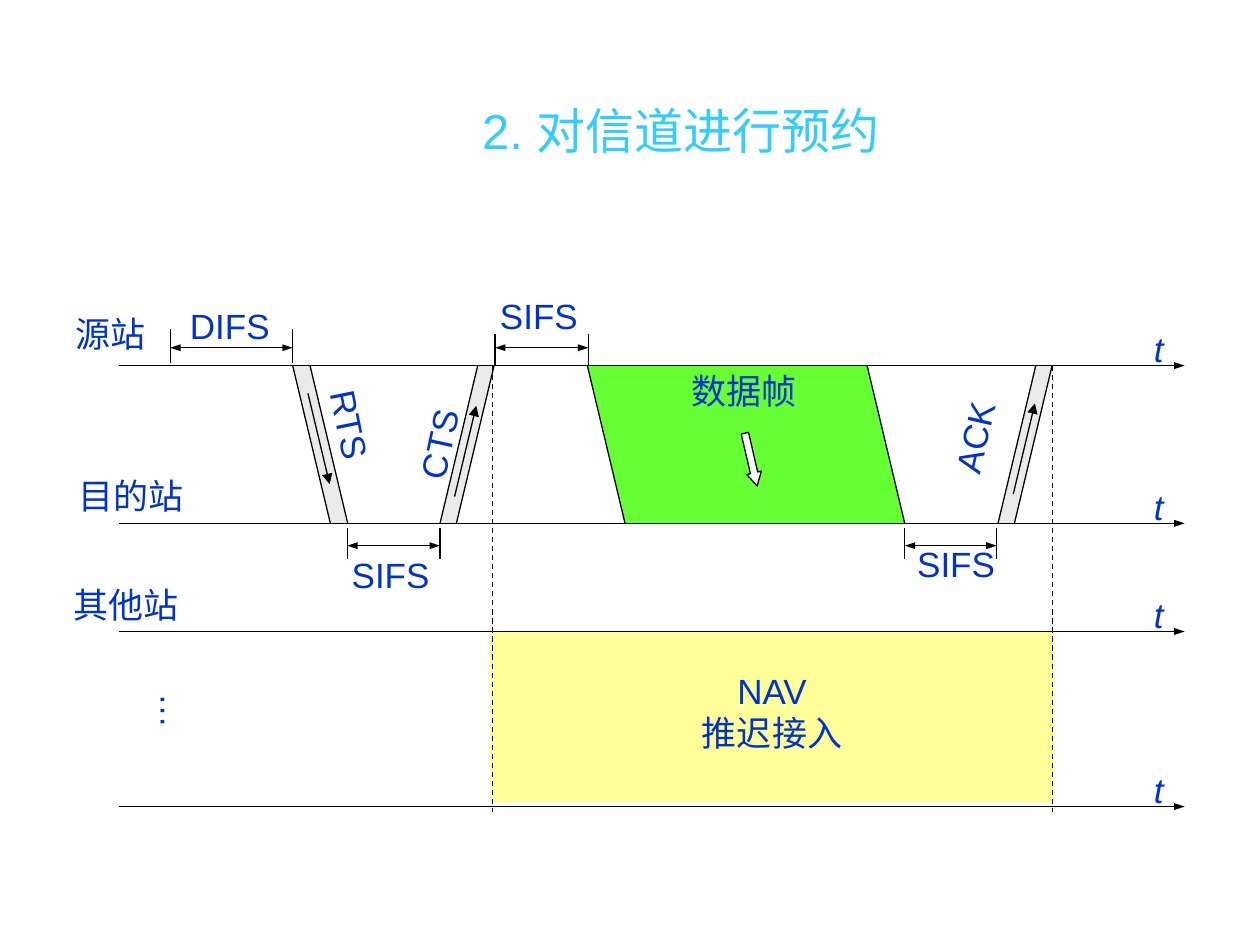
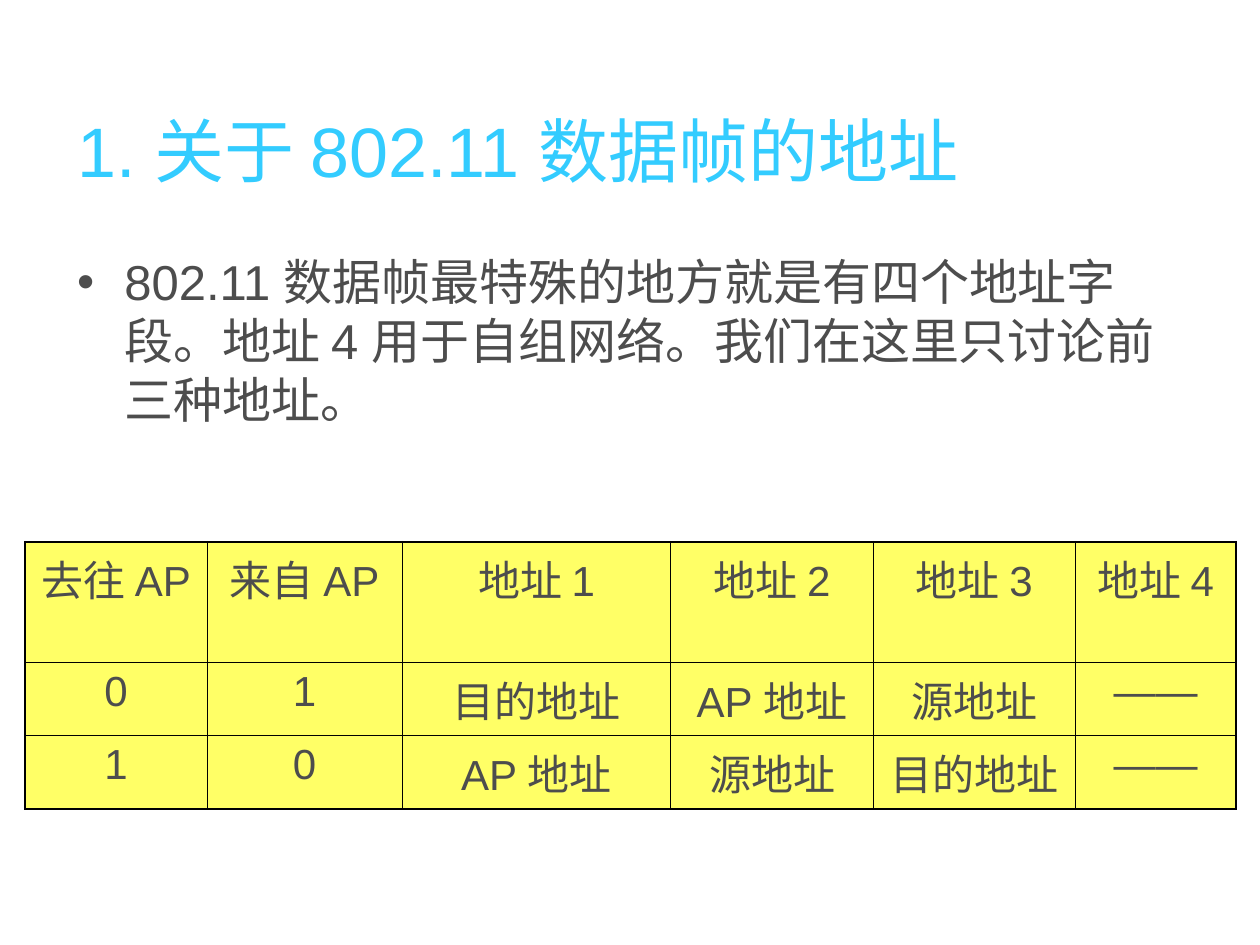
from dataclasses import dataclass

from lxml.etree import SubElement
from pptx import Presentation
from pptx.dml.color import RGBColor
from pptx.enum.dml import MSO_LINE_DASH_STYLE as Dash
from pptx.enum.shapes import MSO_CONNECTOR as Connector, MSO_SHAPE as Preset
from pptx.enum.text import MSO_ANCHOR as Anchor, MSO_AUTO_SIZE as AutoSize, PP_ALIGN as Align
from pptx.oxml.ns import qn
from pptx.util import Cm, Pt

COLORS = {
    "title": "33CCFF",
    "label": "0033CC",
    "body": "4D4D4D",
    "line": "000000",
    "control": "EAEAEA",
    "data": "66FF33",
    "nav": "FFFF99",
    "table": "FFFF66",
    "arrow": "FFFFFF",
}
FONT = "Arial"
LABEL_HEIGHT = 1.12
SLANT = 0.76
SOURCE, DESTINATION, OTHERS, LAST = AXES = (0, 3.18, 5.36, 8.89)

FRAMES = [
    {"left": 3.51, "width": 0.35, "slant": SLANT, "fill": "control", "arrow": (0.56, 2.39)},
    {"left": 7.24, "width": 0.33, "slant": -SLANT, "fill": "control", "arrow": (2.64, 0.81)},
    {"left": 9.45, "width": 5.64, "slant": SLANT, "fill": "data", "arrow": None},
    {"left": 18.49, "width": 0.33, "slant": -SLANT, "fill": "control", "arrow": (2.59, 0.76)},
]
GAPS = [
    {"name": "DIFS", "span": (1.04, 3.51), "ticks": (-0.74, -0.05), "y": -0.36, "label": (1.19, -1.35)},
    {"name": "SIFS", "span": (7.59, 9.47), "ticks": (-0.64, 0), "y": -0.36, "label": (7.44, -1.55)},
    {"name": "SIFS", "span": (4.61, 6.48), "ticks": (3.28, 3.89), "y": 3.63, "label": (4.45, 3.66)},
    {"name": "SIFS", "span": (15.85, 17.7), "ticks": (3.28, 3.89), "y": 3.63, "label": (15.85, 3.45)},
]
LABELS = [
    ("源站", -1.22, -1.19, 2.1, 0),
    ("目的站", -1.1, 2.08, 2.72, 0),
    ("其他站", -1.2, 4.27, 2.72, 0),
    ("…", 0.51, 6.4, 1.22, 90),
    ("RTS", 3.61, 0.64, 2.1, 78.6),
    ("CTS", 5.41, 1.02, 2.1, 282.2),
    ("ACK", 16.21, 0.89, 2.1, 282.9),
    ("数据帧", 11.25, -0.05, 2.72, 0),
    ("NAV\n推迟接入", 11.41, 6, 3.53, 0),
]
ADDRESSES = [
    ["去往 AP", "来自 AP", "地址 1", "地址 2", "地址 3", "地址 4"],
    ["0", "1", "目的地址", "AP 地址", "源地址", "——"],
    ["1", "0", "AP 地址", "源地址", "目的地址", "——"],
]
COLUMN_WIDTHS = (3.66, 3.94, 5.41, 4.09, 4.06, 3.25)
ROW_HEIGHTS = (2.29, 1.35, 1.35)


@dataclass
class Box:
    """A region of the slide, in centimetres."""

    left: float
    top: float
    width: float
    height: float

    def at(self, x, y):
        """Return the slide position of a point inside the region."""
        return Cm(self.left + x), Cm(self.top + y)

    def lengths(self):
        """Return the four sides as slide lengths."""
        return [Cm(side) for side in (self.left, self.top, self.width, self.height)]


def apply(target, values):
    """Set each attribute named in a dict of format values."""
    for attribute, value in values.items():
        setattr(target, attribute, value)


def color(name):
    """Look up a colour by its role."""
    return RGBColor.from_string(COLORS[name])


def paint(shape, fill, outlined=False):
    """Give a shape a flat fill, with or without a thin outline."""
    shape.shadow.inherit = False
    shape.fill.solid()
    shape.fill.fore_color.rgb = color(fill)
    if outlined:
        shape.line.color.rgb = color("line")
        shape.line.width = Pt(0.75)
    else:
        shape.line.fill.background()


def write(frame, text, size, ink, align=Align.LEFT, italic=False):
    """Fill a text frame with one paragraph for each line of text."""
    frame.text = text
    for paragraph in frame.paragraphs:
        apply(paragraph, {"alignment": align, "space_before": Pt(0)})
        paragraph._p.get_or_add_pPr().set("hangingPunct", "0")
        for run in paragraph.runs:
            apply(run.font, {"name": FONT, "size": Pt(size), "italic": italic})
            run.font.color.rgb = color(ink)


def fill_placeholder(placeholder, box, text, size, ink, anchor, align=Align.LEFT):
    """Move a template placeholder and write into it."""
    left, top, width, height = box.lengths()
    apply(placeholder, {"left": left, "top": top, "width": width, "height": height})
    apply(placeholder.text_frame, {
        "word_wrap": True, "auto_size": AutoSize.NONE, "vertical_anchor": anchor})
    write(placeholder.text_frame, text, size, ink, align)


def add_title(slide, box, text, size, align=Align.LEFT):
    """Write the slide title."""
    fill_placeholder(slide.shapes.title, box, text, size, "title", Anchor.MIDDLE, align)


def add_line(slide, box, start, end, arrows=(), head_width="sm", dash=None):
    """Draw a thin line, with arrowheads at the given ends."""
    line = slide.shapes.add_connector(Connector.STRAIGHT, *box.at(*start), *box.at(*end))
    apply(line.line, {"width": Pt(0.75), "dash_style": dash})
    line.line.color.rgb = color("line")
    outline = line.line._get_or_add_ln()
    for arrow in arrows:
        SubElement(outline, qn(f"a:{arrow}"), type="triangle", w=head_width)
    SubElement(line._element.spPr, qn("a:effectLst"))


def add_label(slide, box, text, x, y, width, rotation=0, align=Align.CENTER, italic=False):
    """Place a blue label in the region."""
    height = LABEL_HEIGHT + 0.84 * text.count("\n")
    label = slide.shapes.add_textbox(*box.at(x, y), Cm(width), Cm(height))
    label.rotation = rotation
    apply(label.text_frame, {"word_wrap": False, "auto_size": AutoSize.SHAPE_TO_FIT_TEXT})
    write(label.text_frame, text, 20, "label", align, italic)


def add_frame(slide, box, left, width, slant, fill, arrow):
    """Draw a transmitted frame as a slanted band between two time axes."""
    right = left + width
    corners = [(left, SOURCE), (right, SOURCE),
               (right + slant, DESTINATION), (left + slant, DESTINATION)]
    points = [box.at(*corner) for corner in corners]
    builder = slide.shapes.build_freeform(*points[0])
    builder.add_line_segments(points[1:], close=True)
    paint(builder.convert_to_shape(), fill)
    for side in (left, right):
        add_line(slide, box, (side, SOURCE), (side + slant, DESTINATION))
    if arrow:
        start, end = [(left + width / 2 + slant * y / DESTINATION, y) for y in arrow]
        add_line(slide, box, start, end, ["tailEnd"], "med")


def add_gap(slide, box, name, span, ticks, y, label):
    """Mark a waiting time with two ticks, a double arrow and its name."""
    for x in span:
        add_line(slide, box, (x, ticks[0]), (x, ticks[1]))
    add_line(slide, box, (span[0], y), (span[1], y), ["headEnd", "tailEnd"])
    add_label(slide, box, name, *label, 2.4, align=Align.LEFT)


def add_timing_diagram(slide, box):
    """Draw the time axes with their frames, waiting times and NAV period."""
    nav = slide.shapes.add_shape(Preset.RECTANGLE, *box.at(7.49, OTHERS), Cm(11.38), Cm(3.45))
    paint(nav, "nav")
    for frame in FRAMES:
        add_frame(slide, box, **frame)
    for axis in AXES:
        add_line(slide, box, (0, axis), (box.width, axis), ["tailEnd"])
        add_label(slide, box, "t", 20.62, axis - 0.89, 0.8, align=Align.LEFT, italic=True)
    for x in (7.54, 18.82):
        add_line(slide, box, (x, SOURCE), (x, box.height), dash=Dash.DASH)
    for gap in GAPS:
        add_gap(slide, box, **gap)
    for label in LABELS:
        add_label(slide, box, *label)
    direction = slide.shapes.add_shape(Preset.DOWN_ARROW, *box.at(12.6, 1.35), Cm(0.3), Cm(1.09))
    direction.rotation = 346.9
    direction.adjustments[0], direction.adjustments[1] = 0.5, 0.9
    paint(direction, "arrow", outlined=True)


def add_borders(cell, outer_sides):
    """Line a cell, more heavily on the sides at the edge of the table."""
    properties = cell._tc.get_or_add_tcPr()
    for position, side in enumerate("LRTB"):
        width = Pt(1.08 if side in outer_sides else 0.45)
        border = SubElement(properties, qn(f"a:ln{side}"), w=str(int(width)))
        fill = SubElement(border, qn("a:solidFill"))
        SubElement(fill, qn("a:srgbClr"), val=COLORS["line"])
        properties.insert(position, border)


def add_address_table(slide, box):
    """Build the table of address fields."""
    row_count, column_count = len(ADDRESSES), len(COLUMN_WIDTHS)
    table = slide.shapes.add_table(row_count, column_count, *box.lengths()).table
    apply(table, {"first_row": False, "horz_banding": False})
    for column, width in zip(table.columns, COLUMN_WIDTHS):
        column.width = Cm(width)
    for row, height in zip(table.rows, ROW_HEIGHTS):
        row.height = Cm(height)
    for r, addresses in enumerate(ADDRESSES):
        for c, address in enumerate(addresses):
            cell = table.cell(r, c)
            cell.fill.solid()
            cell.fill.fore_color.rgb = color("table")
            write(cell.text_frame, address, 24, "body", Align.CENTER)
            edges = {"L": c == 0, "R": c == column_count - 1,
                     "T": r == 0, "B": r == row_count - 1}
            add_borders(cell, [side for side, outer in edges.items() if outer])


def build_reservation_slide(deck):
    """Build the slide on reserving the channel."""
    slide = deck.slides.add_slide(deck.slide_layouts[5])
    add_title(slide, Box(2.44, 0.58, 22.56, 4.06), "2. 对信道进行预约", 28, Align.CENTER)
    add_timing_diagram(slide, Box(2.39, 7.37, 21.49, 9))


def build_address_slide(deck):
    """Build the slide on the addresses of a data frame."""
    slide = deck.slides.add_slide(deck.slide_layouts[1])
    add_title(slide, Box(1.3, 2.13, 22.86, 1.78), "1. 关于 802.11 数据帧的地址", 40)
    fill_placeholder(
        slide.placeholders[1], Box(1.3, 4.95, 22.86, 4.39),
        "802.11 数据帧最特殊的地方就是有四个地址字段。地址 4 用于自组网络。"
        "我们在这里只讨论前三种地址。", 28, "body", Anchor.TOP)
    add_address_table(slide, Box(0.51, 10.92, sum(COLUMN_WIDTHS), sum(ROW_HEIGHTS)))


def main():
    """Build and save the deck."""
    deck = Presentation()
    apply(deck, {"slide_width": Cm(25.4), "slide_height": Cm(19.05)})
    build_reservation_slide(deck)
    build_address_slide(deck)
    deck.save("out.pptx")


if __name__ == "__main__":
    main()
